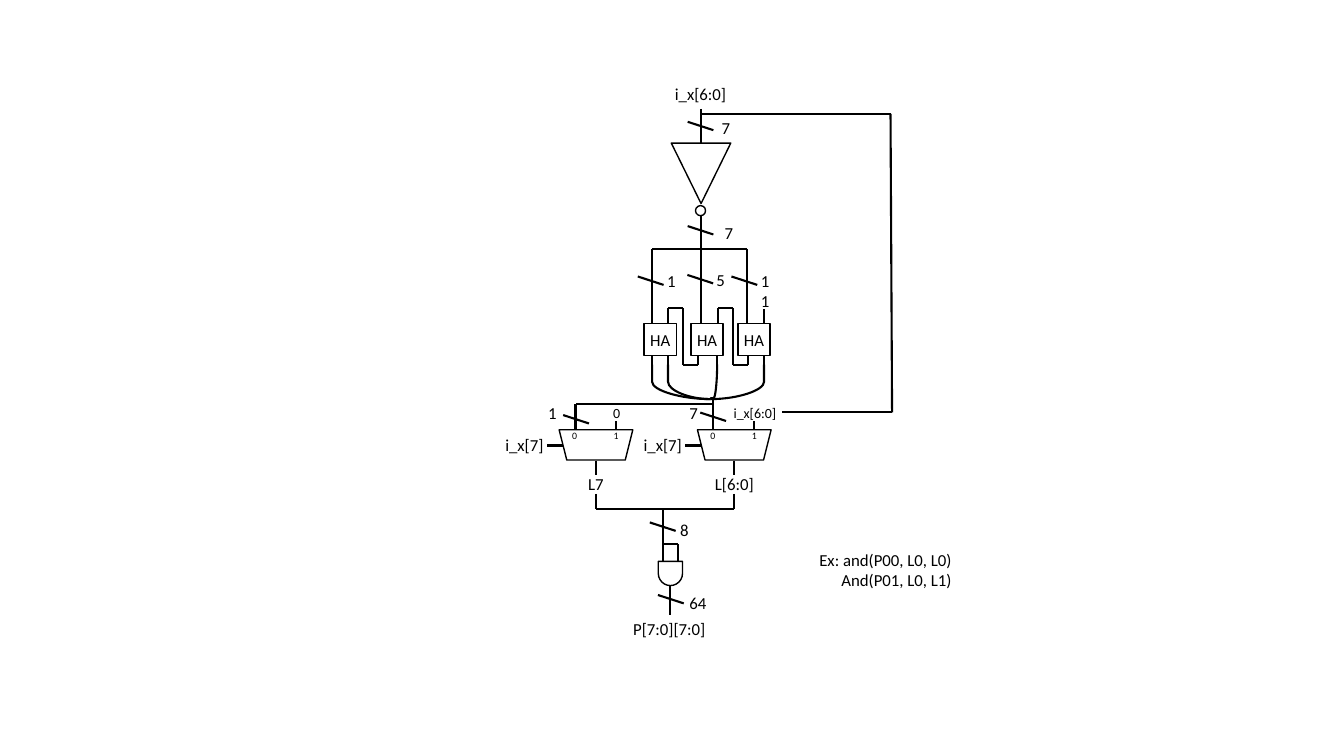
from itertools import pairwise
from lxml import etree
from pptx import Presentation
from pptx.dml.color import RGBColor
from pptx.enum.shapes import MSO_CONNECTOR, MSO_SHAPE
from pptx.enum.text import MSO_ANCHOR, MSO_AUTO_SIZE, PP_ALIGN
from pptx.oxml.ns import qn
from pptx.util import Pt

STRAIGHT, CURVE = MSO_CONNECTOR.STRAIGHT, MSO_CONNECTOR.CURVE
RECT, OVAL = MSO_SHAPE.RECTANGLE, MSO_SHAPE.OVAL
TRIANGLE, TRAPEZOID = MSO_SHAPE.ISOSCELES_TRIANGLE, MSO_SHAPE.TRAPEZOID
DELAY = MSO_SHAPE.FLOWCHART_DELAY
LEFT, CENTER, RIGHT = PP_ALIGN.LEFT, PP_ALIGN.CENTER, PP_ALIGN.RIGHT
MIDDLE = MSO_ANCHOR.MIDDLE
FIT = MSO_AUTO_SIZE.SHAPE_TO_FIT_TEXT
COLORS = {"ink": "000000"}
FONT = "Calibri"
INK = RGBColor.from_string(COLORS["ink"])


def add_text(p, text, size, align):
    p.alignment = align
    r = p.add_run()
    r.text = text
    r.font.name, r.font.size = FONT, Pt(size)
    r.font.color.rgb = INK


def label(s, text, cx, top, w=27.4, size=12, align=CENTER):
    lines = text.split("\n")
    h = 7.2 + 1.22 * size * len(lines)
    tf = s.shapes.add_textbox(Pt(cx - w / 2), Pt(top), Pt(w), Pt(h)).text_frame
    tf.word_wrap = True
    tf.auto_size = FIT
    for i, line in enumerate(lines):
        p = tf.add_paragraph() if i else tf.paragraphs[0]
        add_text(p, line, size, align)


def part(s, kind, x, y, w, h, rotation=0):
    sp = s.shapes.add_shape(kind, Pt(x), Pt(y), Pt(w), Pt(h))
    sp.shadow.inherit = False
    sp.fill.background()
    sp.line.color.rgb = INK
    sp.line.width = Pt(1)
    sp.rotation = rotation
    return sp


def connector(s, kind, start, end):
    c = s.shapes.add_connector(kind, *map(Pt, start + end))
    c.line.color.rgb = INK
    c.line.width = Pt(1.5)
    etree.SubElement(c._element.spPr, qn("a:effectLst"))
    return c


def wire(s, *points):
    for start, end in pairwise(points):
        connector(s, STRAIGHT, start, end)


def curve(s, start, end, adjust=0, rotation=0):
    spPr = connector(s, CURVE, start, end)._element.spPr
    geom = spPr.find(qn("a:prstGeom"))
    guides = geom.find(qn("a:avLst"))
    if guides is None:
        guides = etree.SubElement(geom, qn("a:avLst"))
    etree.SubElement(guides, qn("a:gd"), name="adj1", fmla=f"val {adjust}")
    if rotation:
        spPr.find(qn("a:xfrm")).set("rot", str(rotation * 60000))


def bus(s, x, y, width, cx, top, w=27.4, align=CENTER):
    wire(s, (x + 9.2, y + 3), (x - 9.2, y - 3))
    label(s, width, cx, top, w, align=align)


def inverter(s):
    label(s, "i_x[6:0]", 500.4, 56.2, 60.5)
    part(s, TRIANGLE, 479.5, 102.2, 42.5, 43.2, 180)
    part(s, OVAL, 496.8, 146.9, 7.2, 7.2)
    wire(s, (500.4, 77.8), (500.4, 102.2))
    wire(s, (500.4, 153.4), (500.4, 231.1))
    bus(s, 500.4, 90, "7", 518.4, 80.6)
    bus(s, 500.4, 164.5, "7", 520.6, 155.5)
    wire(s, (501, 81.4), (636.1, 81.4), (637.2, 294.5), (558.7, 294.5))


def half_adders(s):
    for i in range(3):
        sp = part(s, RECT, 460.1 + 33.5 * i, 231.1, 23, 23)
        tf = sp.text_frame
        tf.margin_left = tf.margin_right = tf.margin_top = tf.margin_bottom = 0
        tf.vertical_anchor = MIDDLE
        tf.word_wrap = False
        add_text(tf.paragraphs[0], "HA", 12, CENTER)
    wire(s, (465.8, 231.1), (465.8, 177.8), (533.5, 177.8), (533.5, 231.1))
    bus(s, 464.8, 200.5, "1", 479.5, 190.1)
    bus(s, 500.2, 199.4, "5", 514.8, 189.4)
    bus(s, 531.7, 200.5, "1", 546.5, 190.1)
    label(s, "1", 546.5, 203.8)
    wire(s, (545.8, 231.1), (545.8, 221))
    for x in (498.4, 534.2):
        wire(s, (x, 254.2), (x, 260.6), (x - 10.6, 260.6),
             (x - 10.6, 220.3), (x - 21.4, 220.3), (x - 21.4, 231.1))
    for x in (465.8, 477.2, 511.9, 545.8):
        wire(s, (x, 254.2), (x, 260.6))
    for x in (465.8, 477.2, 545.8):
        curve(s, (x, 260.4), (507.6, 285.1))
    curve(s, (497.5, 270), (522, 275), 98300, 90)


def mux(s, x, data, out):
    y = 307
    part(s, TRAPEZOID, x, y, 52.6, 21.6, 180)
    label(s, "0", x + 11, y - 3.4, size=7)
    label(s, "1", x + 40.6, y - 3.4, size=7)
    label(s, data, x + 41, 285.1, 56.9, 10)
    wire(s, (x + 40.6, y), (x + 40.6, y - 6.4))
    label(s, "i_x[7]", x - 24.8, y - 0.3, 56.9)
    wire(s, (x + 2.8, y + 11.2), (x - 8.8, y + 11.2))
    label(s, out, x + 26.3, 334.8, 56.9)
    wire(s, (x + 26.3, 329), (x + 26.3, 339.1))
    wire(s, (x + 26.3, 352.8), (x + 26.3, 363.6))


def selection(s):
    wire(s, (509, 285.1), (509, 306.7))
    wire(s, (509, 288.7), (411.1, 288.7), (411.1, 306.7))
    bus(s, 411.5, 299.5, "1", 394.6, 284.4)
    bus(s, 509.4, 297.7, "7", 495.4, 284.4)
    mux(s, 399.4, "0", "L7")
    mux(s, 498.2, "i_x[6:0]", "L[6:0]")
    wire(s, (425.7, 363.6), (524.5, 363.6))


def and_gate(s):
    wire(s, (473.8, 363.6), (473.8, 401))
    bus(s, 473.4, 376.2, "8", 488.9, 367.9)
    wire(s, (473.8, 388.8), (484.6, 388.8), (484.6, 401))
    part(s, DELAY, 470.2, 401, 17.3, 17.3, 90)
    wire(s, (478.8, 418.3), (478.8, 439.2))
    bus(s, 479.2, 428, "64", 513.4, 419.8, 56.2, LEFT)
    label(s, "P[7:0][7:0]", 478.1, 438.5, 73.4)
    label(s, "Ex: and(P00, L0, L0)\nAnd(P01, L0, L1)", 622.8, 388.8, 128.2, align=RIGHT)


def main():
    prs = Presentation()
    prs.slide_width, prs.slide_height = Pt(960), Pt(540)
    s = prs.slides.add_slide(prs.slide_layouts[6])
    inverter(s)
    half_adders(s)
    selection(s)
    and_gate(s)
    prs.save("out.pptx")


if __name__ == "__main__":
    main()
